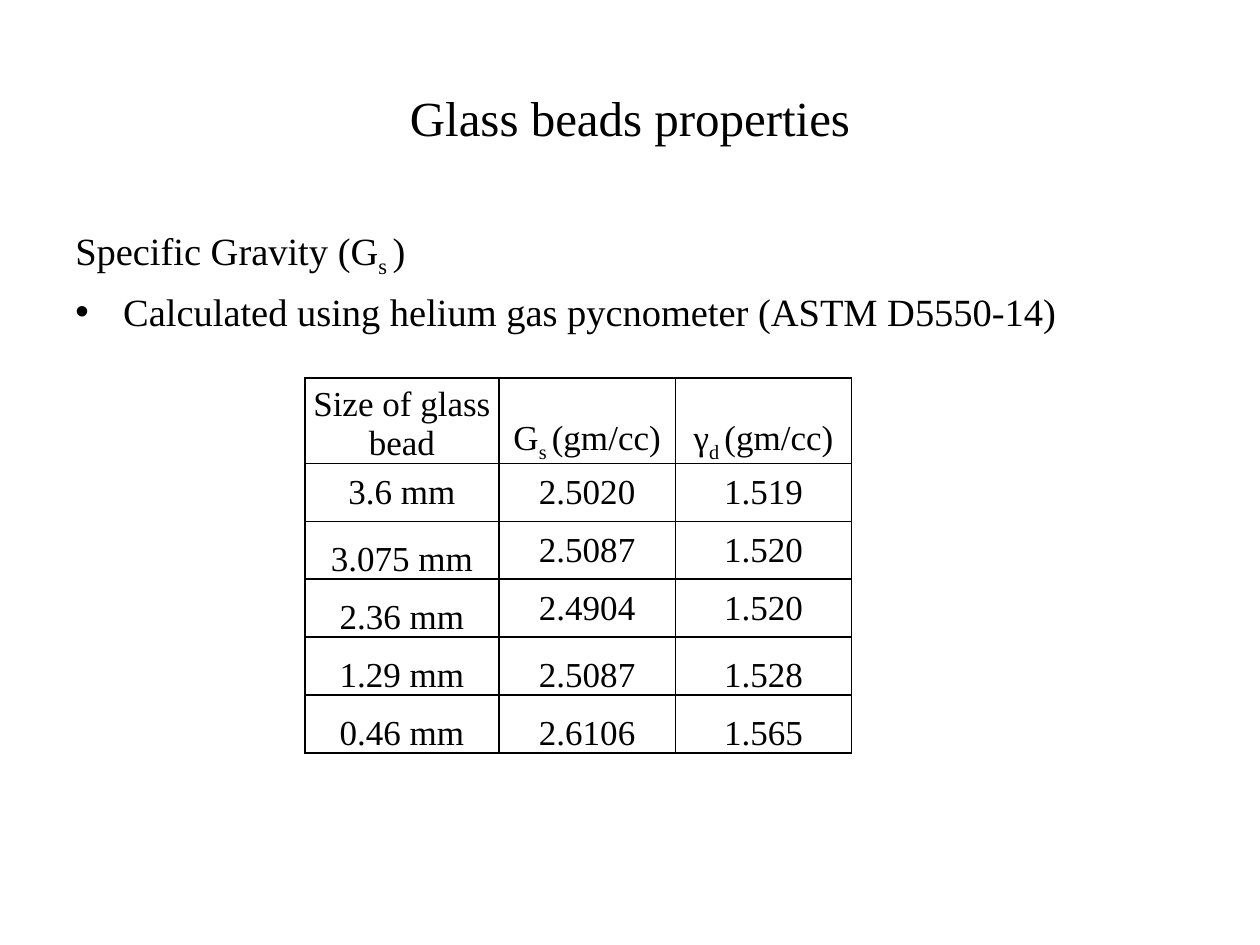
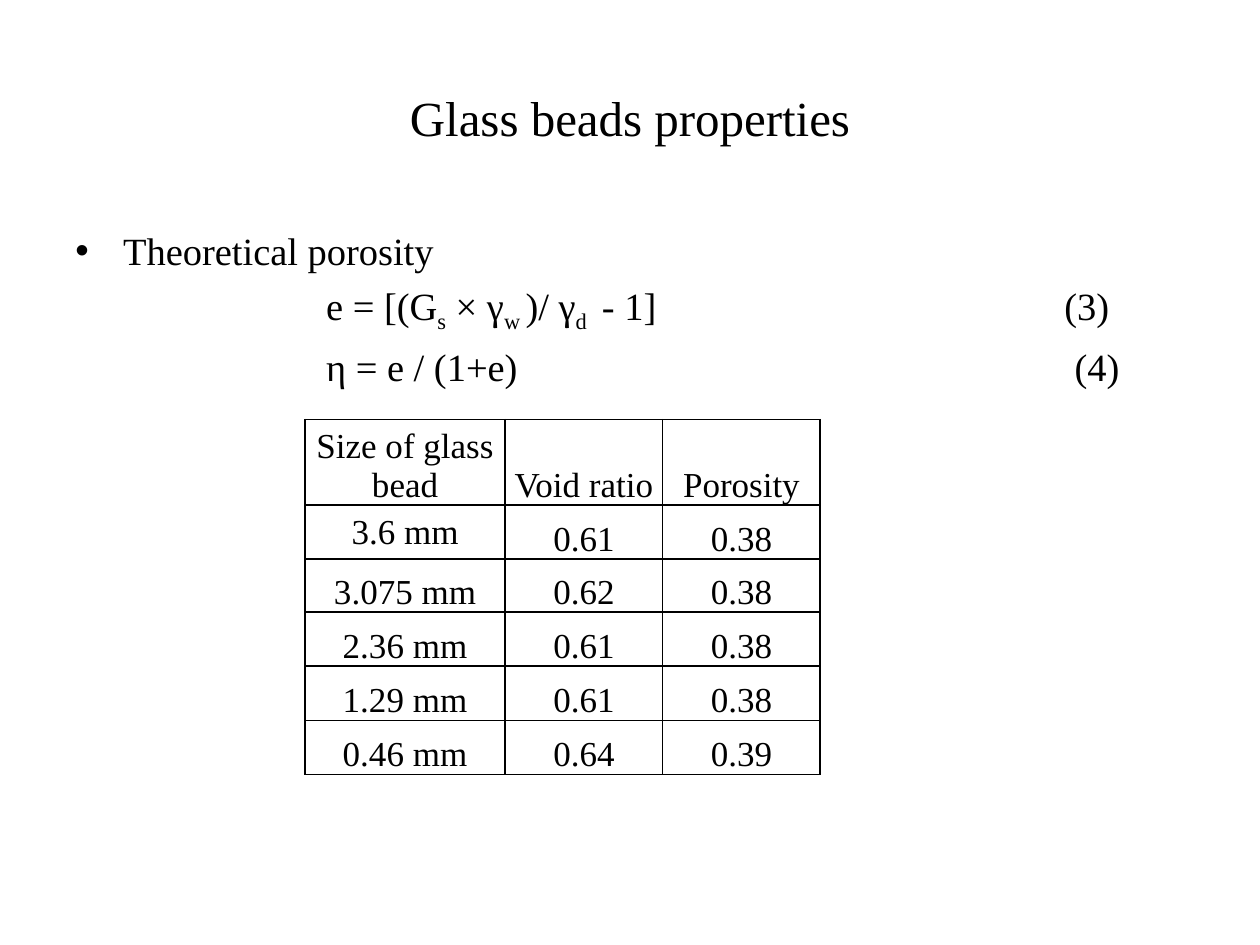
from lxml.etree import SubElement
from pptx import Presentation
from pptx.dml.color import RGBColor
from pptx.enum.text import MSO_ANCHOR, PP_ALIGN
from pptx.oxml.ns import qn
from pptx.util import Inches, Pt

FONT = "Times New Roman"
BLACK = RGBColor(0x00, 0x00, 0x00)
TITLE = "Glass beads properties"
TITLE_SIZE, BODY_SIZE, TABLE_SIZE = 28, 22, 20
TABLE_LEFT = 2.42
EQUATION_START = 1.99
ANCHORS = {"m": MSO_ANCHOR.MIDDLE, "b": MSO_ANCHOR.BOTTOM}

# In all texts, bars enclose a subscript.
# Body line: text, has bullet, position of the equation number.
# Table row: height, one anchor letter per cell, texts.
PAGES = [
    {
        "body": [
            ("Specific Gravity (G|s |)", False, None),
            ("Calculated using helium gas pycnometer (ASTM D5550-14)", True, None),
        ],
        "top": 3.0,
        "columns": [1.54, 1.4, 1.4],
        "rows": [
            (0.67, "bbb", ["Size of glass bead", "G|s |(gm/cc)", "γ|d |(gm/cc)"]),
            (0.46, "mmm", ["3.6 mm", "2.5020", "1.519"]),
            (0.46, "bmm", ["3.075 mm", "2.5087", "1.520"]),
            (0.46, "bmm", ["2.36 mm", "2.4904", "1.520"]),
            (0.46, "bbb", ["1.29 mm", "2.5087", "1.528"]),
            (0.46, "bbb", ["0.46 mm", "2.6106", "1.565"]),
        ],
    },
    {
        "body": [
            ("Theoretical porosity", True, None),
            ("\te = [(G|s| × γ|w |)/ γ|d | - 1]\t(3)", False, 7.85),
            ("\tη = e / (1+e)\t(4)", False, 7.93),
        ],
        "top": 3.33,
        "columns": [1.59, 1.25, 1.25],
        "rows": [
            (0.63, "bbb", ["Size of glass bead", "Void ratio", "Porosity"]),
            (0.43, "mbb", ["3.6 mm", "0.61", "0.38"]),
            (0.42, "bbb", ["3.075 mm", "0.62", "0.38"]),
            (0.43, "bbb", ["2.36 mm", "0.61", "0.38"]),
            (0.43, "bbb", ["1.29 mm", "0.61", "0.38"]),
            (0.43, "bbb", ["0.46 mm", "0.64", "0.39"]),
        ],
    },
]


def write(para, text, size):
    """Fill a paragraph, lowering the parts enclosed in bars."""
    for index, part in enumerate(text.split("|")):
        span = para.add_run()
        span.text = part
        span.font.name = FONT
        span.font.size = Pt(size)
        span.font.color.rgb = BLACK
        if index % 2:
            span.font._element.set("baseline", "-25000")


def add_borders(cell):
    properties = cell._tc.get_or_add_tcPr()
    for index, side in enumerate(("lnL", "lnR", "lnT", "lnB")):
        line = properties.makeelement(qn(f"a:{side}"), {"w": str(Pt(1))})
        fill = SubElement(line, qn("a:solidFill"))
        SubElement(fill, qn("a:srgbClr"), val=str(BLACK))
        properties.insert(index, line)


deck = Presentation()
deck.slide_width = Inches(10)
deck.slide_height = Inches(7.5)

for content in PAGES:
    page = deck.slides.add_slide(deck.slide_layouts[6])

    body = page.shapes.add_textbox(Inches(0.5), Inches(1.75), Inches(9), Inches(4.95))
    body.text_frame.word_wrap = True
    for index, (text, has_bullet, number_position) in enumerate(content["body"]):
        para = body.text_frame.paragraphs[0] if index == 0 else body.text_frame.add_paragraph()
        para.space_before = Pt(5)
        properties = para._p.get_or_add_pPr()
        if has_bullet:
            properties.set("marL", str(Inches(0.38)))
            properties.set("indent", str(Inches(-0.38)))
            SubElement(properties, qn("a:buFont"), typeface="Arial")
            SubElement(properties, qn("a:buChar"), char="•")
        if number_position:
            tabs = SubElement(properties, qn("a:tabLst"))
            for position in (EQUATION_START, number_position):
                SubElement(tabs, qn("a:tab"), pos=str(Inches(position)), algn="l")
        write(para, text, BODY_SIZE)

    title = page.shapes.add_textbox(Inches(0.5), Inches(0.3), Inches(9), Inches(1.25))
    title.text_frame.word_wrap = True
    title.text_frame.vertical_anchor = MSO_ANCHOR.MIDDLE
    para = title.text_frame.paragraphs[0]
    para.alignment = PP_ALIGN.CENTER
    write(para, TITLE, TITLE_SIZE)

    columns, rows = content["columns"], content["rows"]
    table = page.shapes.add_table(
        len(rows), len(columns), Inches(TABLE_LEFT), Inches(content["top"]),
        Inches(sum(columns)), Inches(sum(row[0] for row in rows))).table
    table.first_row = table.horz_banding = False
    for column, width in zip(table.columns, columns):
        column.width = Inches(width)
    for row, (height, anchors, texts) in zip(table.rows, rows):
        row.height = Inches(height)
        for cell, anchor, text in zip(row.cells, anchors, texts):
            cell.margin_left = cell.margin_right = cell.margin_top = Inches(0.01)
            cell.margin_bottom = 0
            cell.vertical_anchor = ANCHORS[anchor]
            cell.fill.background()
            add_borders(cell)
            para = cell.text_frame.paragraphs[0]
            para.alignment = PP_ALIGN.CENTER
            write(para, text, TABLE_SIZE)

deck.save("out.pptx")
